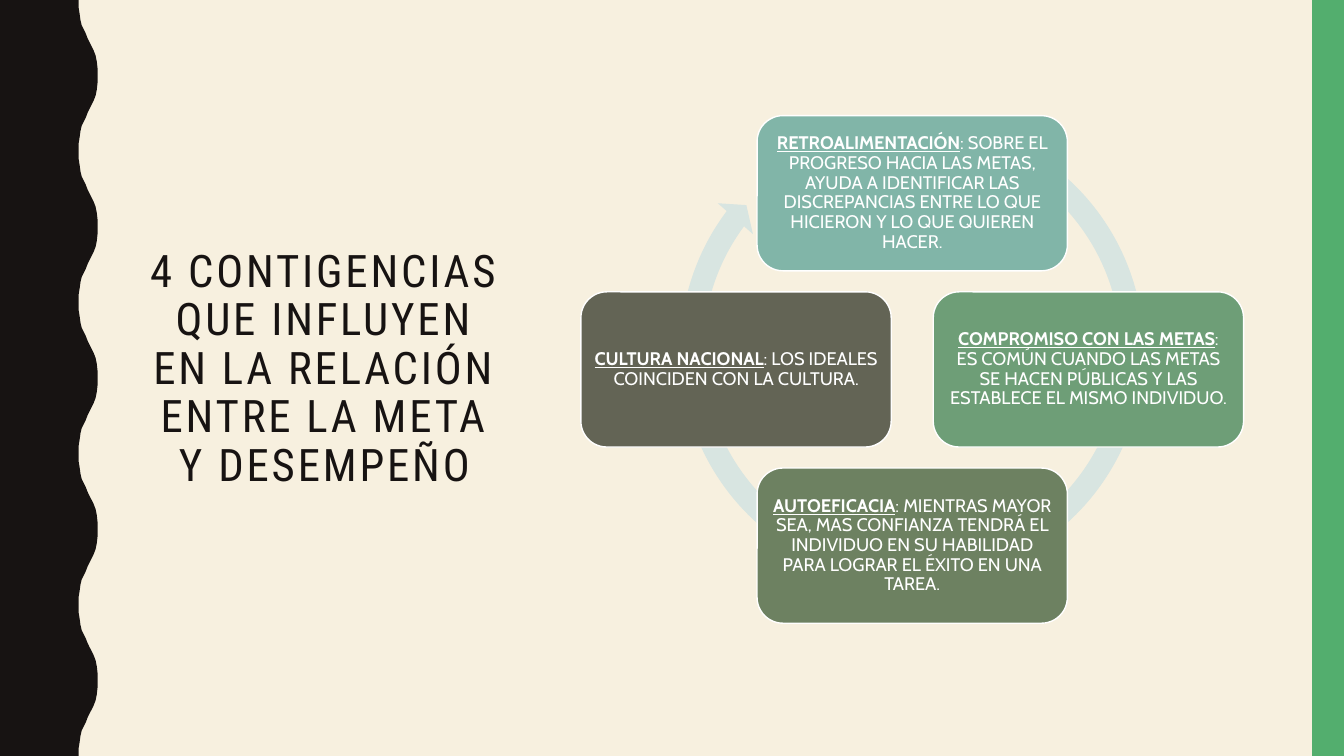
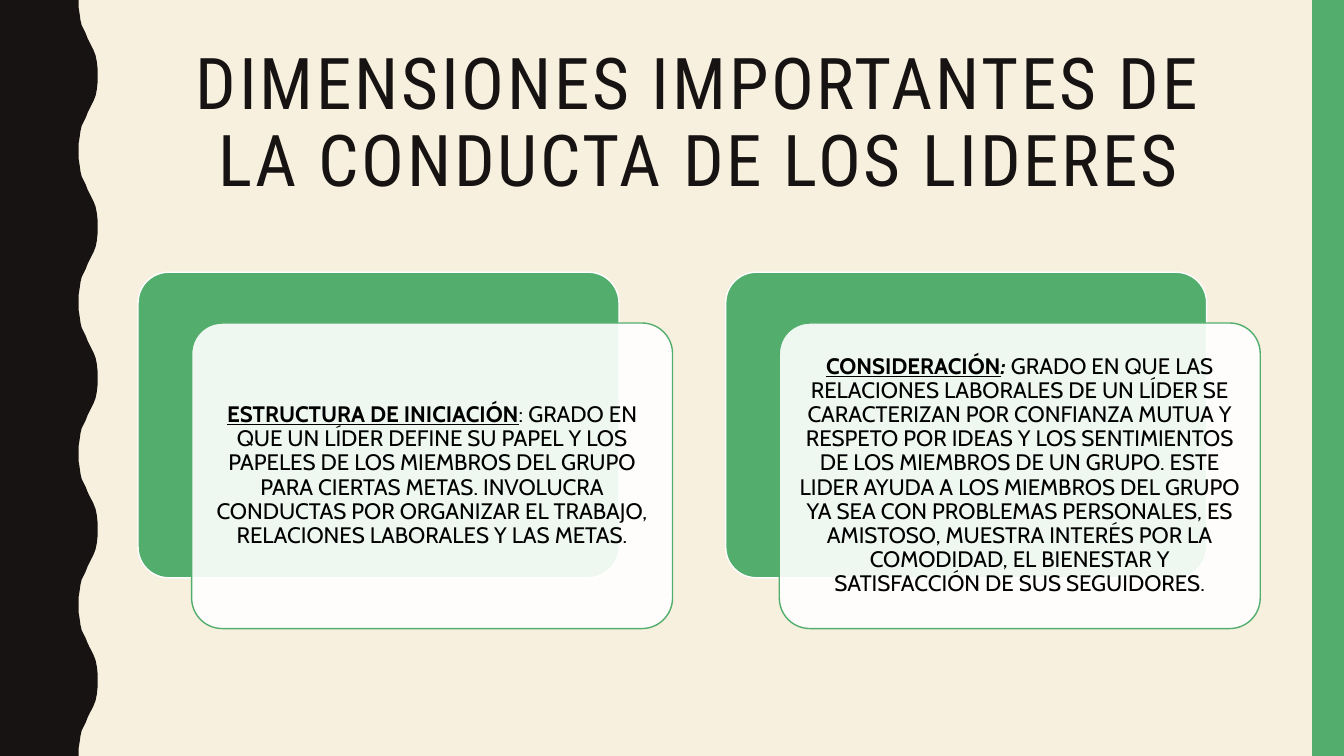
"""Build two slides on goal contingencies and the dimensions of leader conduct."""
from lxml import etree
from pptx import Presentation
from pptx.dml.color import RGBColor
from pptx.enum.shapes import MSO_SHAPE
from pptx.enum.text import MSO_ANCHOR, PP_ALIGN
from pptx.oxml.ns import qn
from pptx.util import Cm, Pt

RECT = MSO_SHAPE.RECTANGLE
ROUND = MSO_SHAPE.ROUNDED_RECTANGLE
CIRCULAR_ARROW = MSO_SHAPE.CIRCULAR_ARROW
TOP, MIDDLE = MSO_ANCHOR.TOP, MSO_ANCHOR.MIDDLE
CENTER = PP_ALIGN.CENTER

COLORS = {
    "cream": "F7F0DF", "ink": "171312", "green": "53AE6E", "ring": "D8E5E1",
    "teal": "81B5A8", "sage": "6E9E77", "moss": "6D8161", "olive": "636455",
    "white": "FFFFFF", "black": "000000",
}
RGB = {name: RGBColor.from_string(value) for name, value in COLORS.items()}
TITLE_FONT, BODY_FONT = "Roboto Condensed", "Cabin"
W, H = 33.87, 19.05


def add_shape(s, kind, x, y, w, h, fill, line=None):
    sp = s.shapes.add_shape(kind, Cm(x), Cm(y), Cm(w), Cm(h))
    sp.shadow.inherit = False
    sp.fill.solid()
    sp.fill.fore_color.rgb = RGB[fill]
    if line:
        sp.line.color.rgb = RGB[line]
        sp.line.width = Pt(1)
    else:
        sp.line.fill.background()
    return sp


def add_text(sp, runs, font, size, color, anchor=MIDDLE, inset=None, spacing=0):
    tf = sp.text_frame
    tf.word_wrap = True
    tf.vertical_anchor = anchor
    if inset is not None:
        tf.margin_left = tf.margin_right = Cm(inset)
        tf.margin_top = tf.margin_bottom = Cm(inset)
    p = tf.paragraphs[0]
    p.alignment = CENTER
    p.line_spacing = 0.9
    for text, style in runs:
        r = p.add_run()
        r.text = text
        r.font.name = font
        r.font.size = Pt(size)
        r.font.color.rgb = RGB[color]
        r.font.bold = "b" in style
        r.font.underline = "u" in style
        r.font.italic = "i" in style
        if spacing:
            r._r.get_or_add_rPr().set("spc", str(spacing * 100))


prs = Presentation()
prs.slide_width, prs.slide_height = Cm(W), Cm(H)

WAVES = 5
wave_height = H / WAVES
half_wave = [
    (1.98, 0), (1.98, 0.18), (2.01, 0.36), (2.03, 0.51), (2.06, 0.64),
    (2.11, 0.74), (2.16, 0.84), (2.21, 0.97), (2.26, 1.07), (2.31, 1.17),
    (2.36, 1.27), (2.41, 1.4), (2.44, 1.55), (2.46, 1.73), (2.46, 1.9),
]
wave = half_wave + [(x, wave_height - y) for x, y in reversed(half_wave)]
edge = [(Cm(x), Cm(y + i * wave_height)) for i in range(WAVES) for x, y in wave]

titles = [
    ("4 CONTIGENCIAS QUE INFLUYEN EN LA RELACIÓN ENTRE LA META Y DESEMPEÑO",
     (3.48, 1.8, 9.4, 15.04), 32, MIDDLE),
    ("DIMENSIONES IMPORTANTES DE LA CONDUCTA DE LOS LIDERES",
     (3.48, 1.07, 28.27, 4.14), 51, TOP),
]
slides = []
for title, box, size, anchor in titles:
    s = prs.slides.add_slide(prs.slide_layouts[6])
    s.background.fill.solid()
    s.background.fill.fore_color.rgb = RGB["cream"]
    outline = s.shapes.build_freeform(0, 0)
    outline.add_line_segments(edge + [(0, Cm(H))], close=True)
    sp = outline.convert_to_shape()
    sp.shadow.inherit = False
    sp.fill.solid()
    sp.fill.fore_color.rgb = RGB["ink"]
    sp.line.fill.background()
    add_shape(s, RECT, 33.07, 0, 0.8, H, "green")
    sp = s.shapes.add_textbox(*[Cm(v) for v in box])
    add_text(sp, [(title, "")], TITLE_FONT, size, "ink", anchor, spacing=2)
    slides.append(s)

cycle_slide, conduct_slide = slides

sp = add_shape(cycle_slide, CIRCULAR_ARROW, 16.84, 2.69, 12.29, 12.29, "ring")
for i, value in enumerate([0.047, 2.729, 130.043, 179.141, 0.048]):
    sp.adjustments[i] = value

CENTER_X, CENTER_Y, RADIUS = 22.99, 9.31, 4.44
NODE_W, NODE_H = 7.82, 3.91
nodes = [
    (0, -1, "teal", "RETROALIMENTACIÓN",
     ": SOBRE EL PROGRESO HACIA LAS METAS, AYUDA A IDENTIFICAR LAS "
     "DISCREPANCIAS ENTRE LO QUE HICIERON Y LO QUE QUIEREN HACER."),
    (1, 0, "sage", "COMPROMISO CON LAS METAS",
     ": ES COMÚN CUANDO LAS METAS SE HACEN PÚBLICAS Y LAS ESTABLECE EL "
     "MISMO INDIVIDUO."),
    (0, 1, "moss", "AUTOEFICACIA",
     ": MIENTRAS MAYOR SEA, MAS CONFIANZA TENDRÁ EL INDIVIDUO EN SU "
     "HABILIDAD PARA LOGRAR EL ÉXITO EN UNA TAREA."),
    (-1, 0, "olive", "CULTURA NACIONAL",
     ": LOS IDEALES COINCIDEN CON LA CULTURA."),
]
for dx, dy, fill, term, text in nodes:
    x = CENTER_X + dx * RADIUS - NODE_W / 2
    y = CENTER_Y + dy * RADIUS - NODE_H / 2
    sp = add_shape(cycle_slide, ROUND, x, y, NODE_W, NODE_H, fill, "white")
    add_text(sp, [(term, "bu"), (text, "")], BODY_FONT, 13, "white", inset=0.13)

CARD_X, CARD_Y, CARD_W, CARD_H, CARD_STEP = 3.48, 6.86, 12.12, 7.7, 14.81
cards = [
    [("ESTRUCTURA DE INICIACIÓN", "bu"),
     (": GRADO EN QUE UN LÍDER DEFINE SU PAPEL Y LOS PAPELES DE LOS MIEMBROS "
      "DEL GRUPO PARA CIERTAS METAS. INVOLUCRA CONDUCTAS POR ORGANIZAR EL "
      "TRABAJO, RELACIONES LABORALES Y LAS METAS.", "")],
    [("CONSIDERACIÓN", "bu"),
     (":", "bi"),
     (" GRADO EN QUE LAS RELACIONES LABORALES DE UN LÍDER SE CARACTERIZAN POR "
      "CONFIANZA MUTUA Y RESPETO POR IDEAS Y LOS SENTIMIENTOS DE LOS MIEMBROS "
      "DE UN GRUPO. ESTE LIDER AYUDA A LOS MIEMBROS DEL GRUPO YA SEA CON "
      "PROBLEMAS PERSONALES, ES AMISTOSO, MUESTRA INTERÉS POR LA COMODIDAD, "
      "EL BIENESTAR Y SATISFACCIÓN DE SUS SEGUIDORES.", "")],
]
for i, runs in enumerate(cards):
    x = CARD_X + i * CARD_STEP
    back = add_shape(conduct_slide, ROUND, x, CARD_Y, CARD_W, CARD_H, "green", "white")
    front = add_shape(conduct_slide, ROUND, x + 1.35, CARD_Y + 1.28, CARD_W, CARD_H,
                      "white", "green")
    for sp in (back, front):
        sp.adjustments[0] = 0.1
    fill_color = front._element.spPr.find(qn("a:solidFill"))[0]
    etree.SubElement(fill_color, qn("a:alpha")).set("val", "90000")
    add_text(front, runs, BODY_FONT, 16, "black", inset=0.18)

prs.save("out.pptx")
